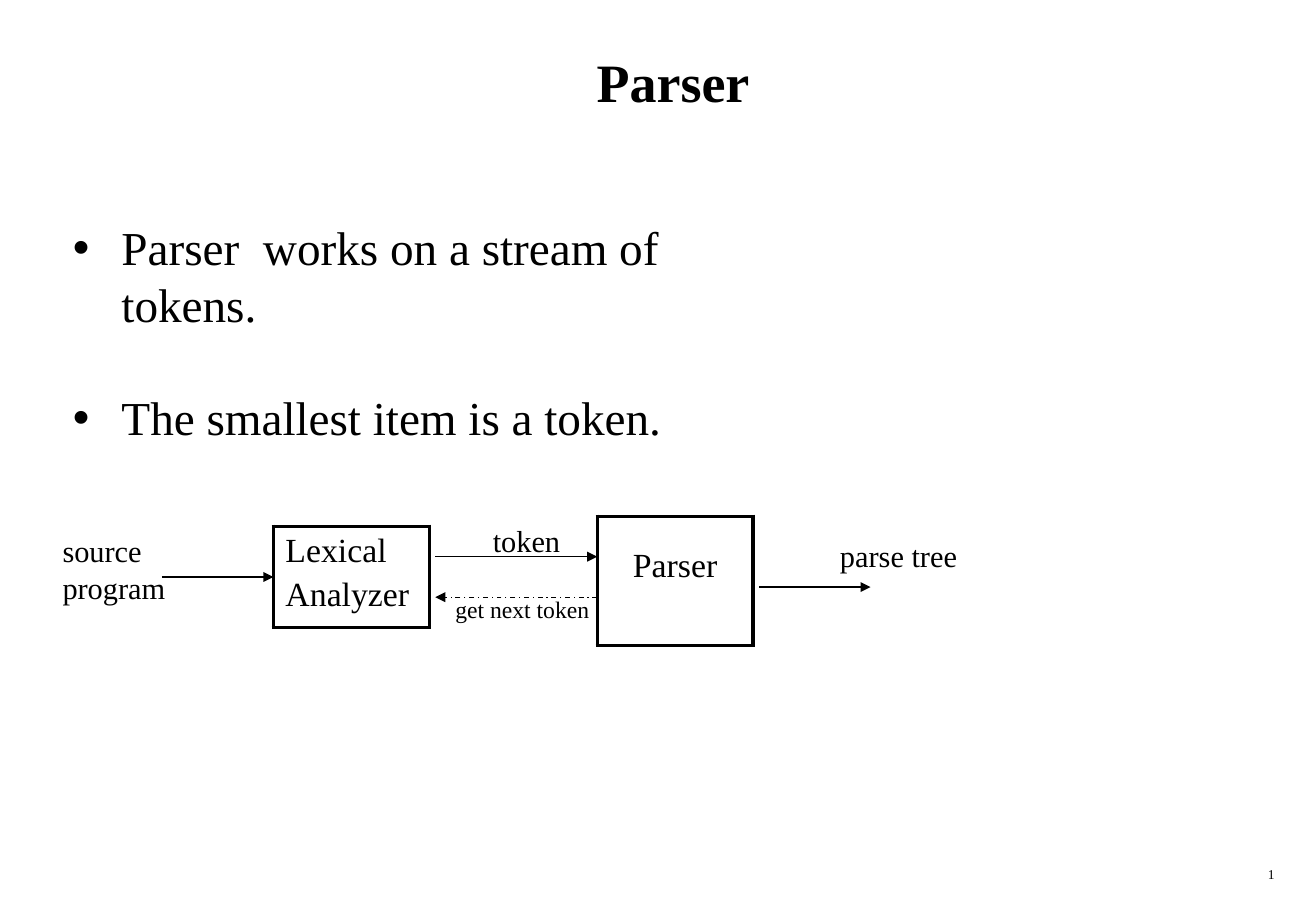
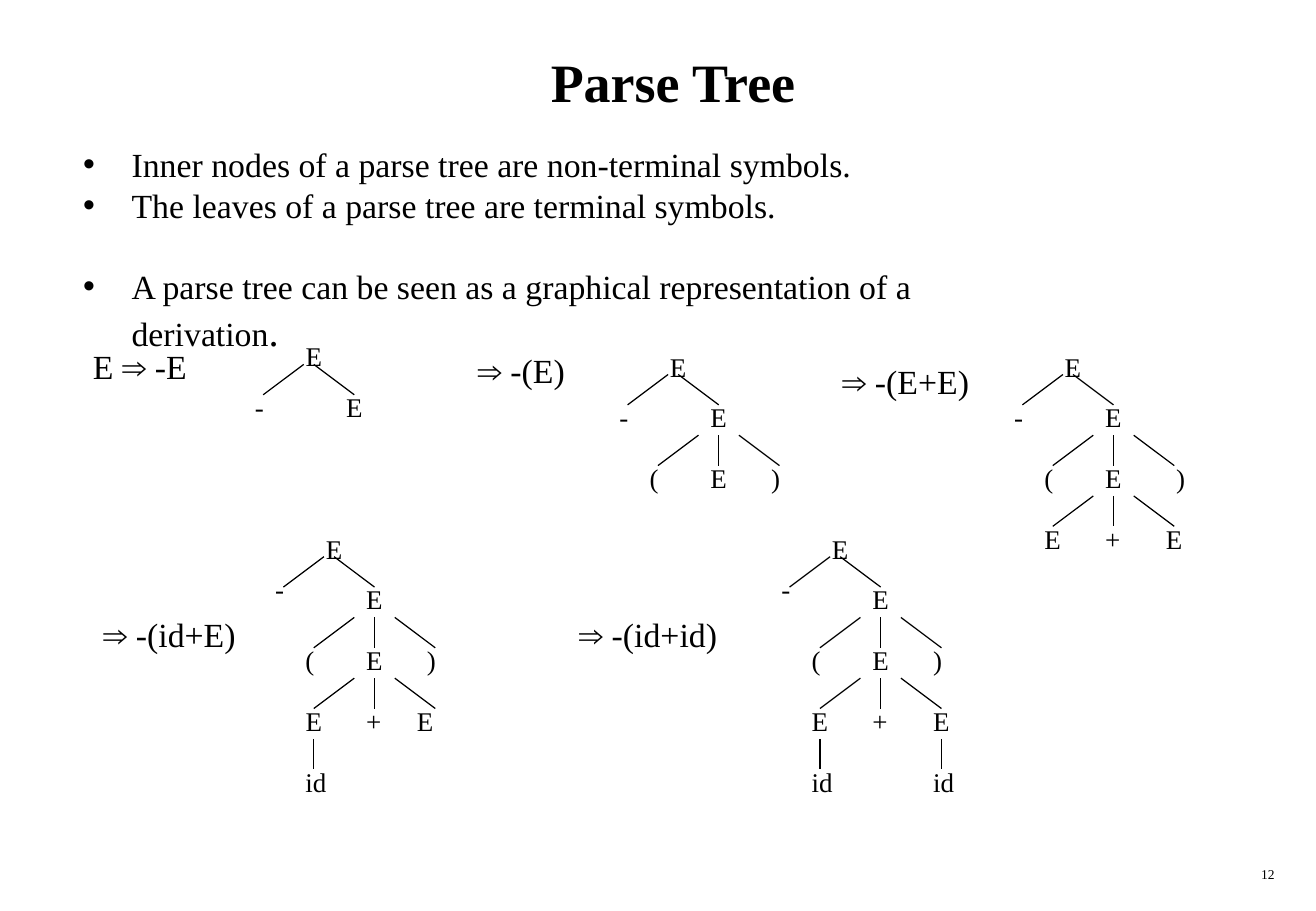
from dataclasses import dataclass

from lxml import etree
from pptx import Presentation, util as u
from pptx.dml.color import RGBColor
from pptx.enum import dml, shapes, text
from pptx.oxml import ns


@dataclass(frozen=True)
class Theme:
    font: str = "Times New Roman"
    ink: RGBColor = RGBColor(0, 0, 0)
    title: int = 32
    box: int = 20
    label: int = 18
    note: int = 14
    node: int = 16
    number: int = 8
    thin: float = 0.75
    thick: float = 2.25


@dataclass(frozen=True)
class Box:
    """A place in grid columns and rows."""
    col: float
    row: float
    wide: float
    high: float

    def place(self) -> tuple:
        return tuple(grid(n) for n in (self.col, self.row, self.wide, self.high))


@dataclass(frozen=True)
class Point:
    words: str
    gap: bool = False  # one line of space above
    end: str = ""      # closing mark in a larger size


@dataclass(frozen=True)
class Label:
    words: str
    box: Box
    size: int


@dataclass(frozen=True)
class Line:
    x1: float
    y1: float
    x2: float
    y2: float
    head: bool = False
    dash: bool = False


@dataclass(frozen=True)
class Tree:
    """A parse tree; col and row place its root, depth counts its levels."""
    col: float
    row: float
    depth: int
    minus: float = 5       # row of the minus sign
    close: float = 10      # column of the closing bracket
    last: float = 10       # column of the right operand
    ids: tuple = ()        # columns of the id leaves


THEME = Theme()
COLS, ROWS, PER_INCH = 130, 90, 12
TITLE = Box(5, 2, 123, 12)
NUMBER = Box(100, 85, 27.1, 3)
HANG = u.Inches(0.4)
LEAD = 1.2
WIDTHS = {"E": 4.2, "+": 4, "id": 4.8}  # other symbols: 3.4


def grid(n: float) -> int:
    return round(n * u.Inches(1) / PER_INCH)


def style(para, size: float, bold: bool = False) -> None:
    for run in para.runs:
        font = run.font
        font.name, font.size, font.bold = THEME.font, u.Pt(size), bold
        font.color.rgb = THEME.ink


def move(shape, box: Box) -> None:
    shape.left, shape.top, shape.width, shape.height = box.place()


def write(home, label: Label, align=text.PP_ALIGN.LEFT, wrap: bool = False) -> None:
    shape = home.add_textbox(*label.box.place())
    frame = shape.text_frame
    frame.text = label.words
    frame.word_wrap = wrap
    if not wrap:
        frame.auto_size = text.MSO_AUTO_SIZE.SHAPE_TO_FIT_TEXT
    for para in frame.paragraphs:
        para.alignment = align
        style(para, label.size)


def draw(home, line: Line):
    ends = (grid(n) for n in (line.x1, line.y1, line.x2, line.y2))
    link = home.add_connector(shapes.MSO_CONNECTOR.STRAIGHT, *ends)
    link.line.color.rgb = THEME.ink
    link.line.width = u.Pt(THEME.thin)
    if line.dash:
        link.line.dash_style = dml.MSO_LINE.DASH_DOT
    if line.head:
        etree.SubElement(link.line._get_or_add_ln(), ns.qn("a:tailEnd"), type="triangle")
    etree.SubElement(link._element.spPr, ns.qn("a:effectLst"))
    return link


def frame_cell(home, words: str, box: Box, align, top: float):
    """A one-cell table with a heavy border."""
    frame = home.add_table(1, 1, *box.place())
    table = frame.table
    table.first_row = table.horz_banding = False
    cell = table.cell(0, 0)
    cell.text = words
    cell.margin_top = u.Inches(top)
    for i, para in enumerate(cell.text_frame.paragraphs):
        para.alignment = align
        para.space_before = u.Pt(4 if i else 0)
        style(para, THEME.box)
    props = cell._tc.get_or_add_tcPr()
    for side in ("lnL", "lnR", "lnT", "lnB"):
        edge = etree.SubElement(props, ns.qn("a:" + side), w=str(u.Pt(THEME.thick)))
        fill = etree.SubElement(edge, ns.qn("a:solidFill"))
        etree.SubElement(fill, ns.qn("a:srgbClr"), val=str(THEME.ink))
    cell.fill.background()
    return frame


def page(deck, title: str, number: str, body: Box, size: int, points: list):
    """A slide with title, bullet list and page number."""
    slide = deck.slides.add_slide(deck.slide_layouts[1])
    head, area = slide.placeholders
    move(head, TITLE)
    head.text_frame.text = title
    head.text_frame.vertical_anchor = text.MSO_ANCHOR.MIDDLE
    head.text_frame.paragraphs[0].alignment = text.PP_ALIGN.CENTER
    style(head.text_frame.paragraphs[0], THEME.title, bold=True)

    move(area, body)
    frame = area.text_frame
    frame.text = "\n".join(point.words for point in points)
    frame.auto_size = text.MSO_AUTO_SIZE.NONE
    for para, point in zip(frame.paragraphs, points):
        para.space_before = u.Pt(size * LEAD if point.gap else 0)
        props = para._p.get_or_add_pPr()
        props.set("marL", str(HANG))
        props.set("indent", str(-HANG))
        if point.end:
            para.add_run().text = point.end
        style(para, size)
        if point.end:
            para.runs[-1].font.size = u.Pt(size + 4)

    write(slide.shapes, Label(number, NUMBER, THEME.number), text.PP_ALIGN.RIGHT, True)
    return slide.shapes


def grow(home, tree: Tree) -> None:
    """Draw one parse tree as a group, level by level."""
    group = home.add_group_shape().shapes

    def leaf(words: str, col: float, row: float) -> None:
        box = Box(tree.col + col, tree.row + row, WIDTHS.get(words, 3.4), 4.4)
        write(group, Label(words, box, THEME.node))

    def edge(x1: float, x2: float, row: float) -> None:
        top = tree.row + row
        draw(group, Line(tree.col + x1, top, tree.col + x2, top + 3))

    leaf("E", 0, 0)
    edge(1, -3, 3)
    edge(2, 6, 3)
    leaf("-", -5, tree.minus)
    leaf("E", 4, 5)
    levels = [("(E)", tree.close), ("E+E", tree.last)]
    for i, (words, right) in enumerate(levels[:tree.depth - 1]):
        row = 9 + 6 * i
        for x1, x2 in ((4, 0), (6, 6), (8, 12)):
            edge(x1, x2, row)
        for sign, col in zip(words, (-2, 4, right)):
            leaf(sign, col, row + 2)
    for col in tree.ids:
        edge(col + 2, col + 2, 21)
        leaf("id", col, 23)


def parser(deck) -> None:
    home = page(deck, "Parser", "1", Box(6, 21, 74.2, 18), 28, [
        Point("Parser  works on a stream of tokens."),
        Point("The smallest item is a token.", gap=True),
    ])
    # Stages
    lexer = frame_cell(home, "Lexical\nAnalyzer", Box(27, 52, 15.4, 10),
                       text.PP_ALIGN.LEFT, 0.05)
    frame_cell(home, "Parser", Box(59, 51, 15.4, 12.8), text.PP_ALIGN.CENTER, 0.26)
    # Flow
    feed = draw(home, Line(16, 57, 27, 57, head=True))
    feed.end_connect(lexer, 1)
    for line in (
        Line(43, 55, 59, 55, head=True),
        Line(59, 59, 43, 59, head=True, dash=True),
        Line(75, 58, 86, 58, head=True),
    ):
        draw(home, line)
    for label in (
        Label("source\nprogram", Box(5, 52, 13, 8.4), THEME.label),
        Label("token", Box(47.5, 51, 10.5, 4.8), THEME.label),
        Label("get next token", Box(43.8, 58.2, 17, 4), THEME.note),
        Label("parse tree", Box(81.8, 52.5, 15, 4.8), THEME.label),
    ):
        write(home, label)


def trees(deck) -> None:
    home = page(deck, "Parse Tree", "12", Box(7, 13.6, 97.6, 18), 20, [
        Point("Inner nodes of a parse tree are non-terminal symbols."),
        Point("The leaves of a parse tree are terminal symbols."),
        Point("A parse tree can be seen as a graphical representation of a derivation",
              gap=True, end="."),
    ])
    # Derivation steps, each with its tree
    for words, col, row, wide, tree in (
        ("E ⇒ -E", 8, 33.6, 14, Tree(29, 33, 1)),
        ("⇒ -(E)", 46, 34, 12.5, Tree(65, 34, 2)),
        ("⇒ -(E+E)", 82, 35, 16.5, Tree(104, 34, 3, close=11)),
        ("⇒ -(id+E)", 9, 60, 17, Tree(31, 52, 3, minus=4, last=9, ids=(-2,))),
        ("⇒ -(id+id)", 56, 60, 17.5, Tree(81, 52, 3, minus=4, ids=(-2, 10))),
    ):
        write(home, Label(words, Box(col, row, wide, 5.2), THEME.box))
        grow(home, tree)


def main() -> None:
    deck = Presentation()
    deck.slide_width, deck.slide_height = grid(COLS), grid(ROWS)
    parser(deck)
    trees(deck)
    deck.save("out.pptx")


if __name__ == "__main__":
    main()
